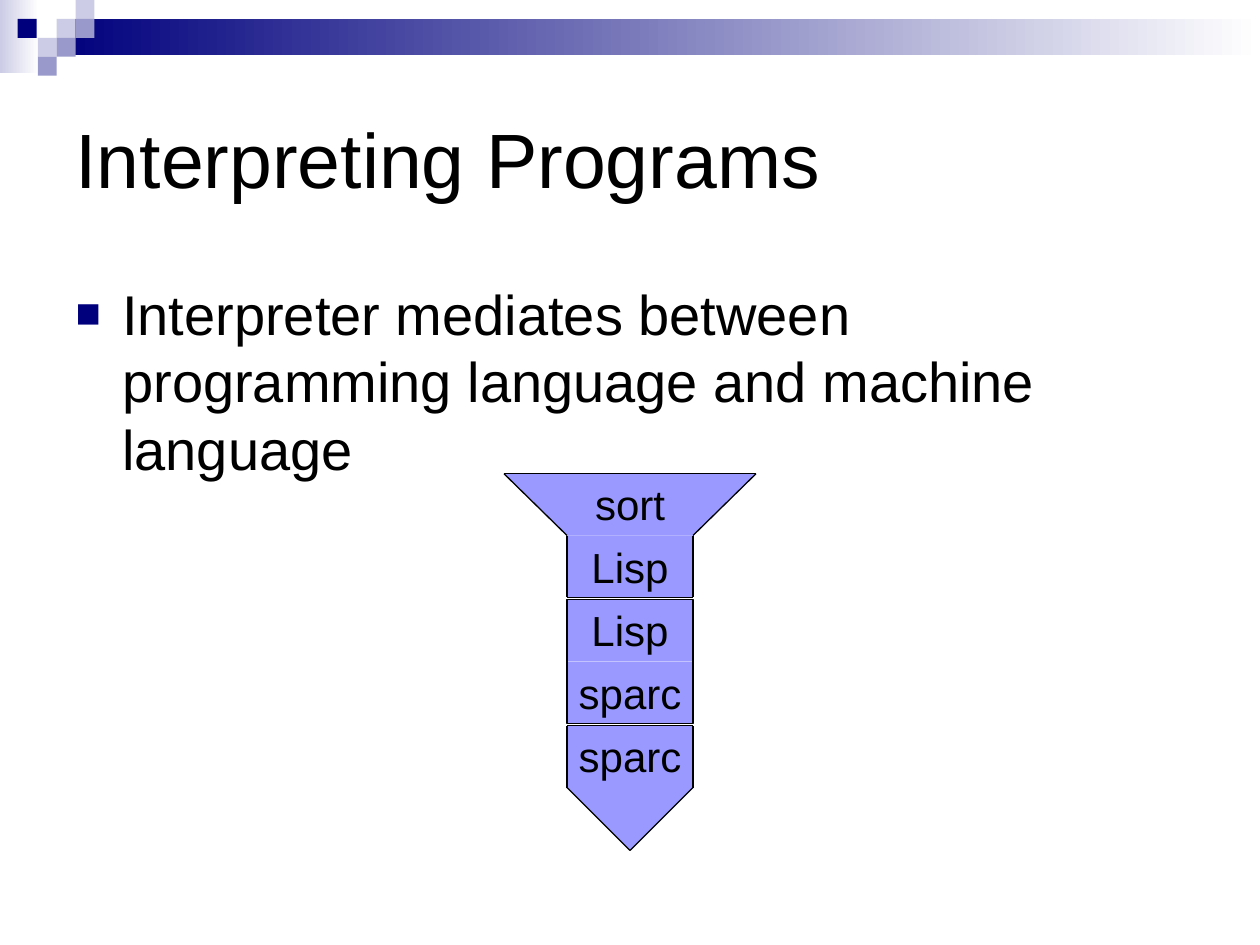
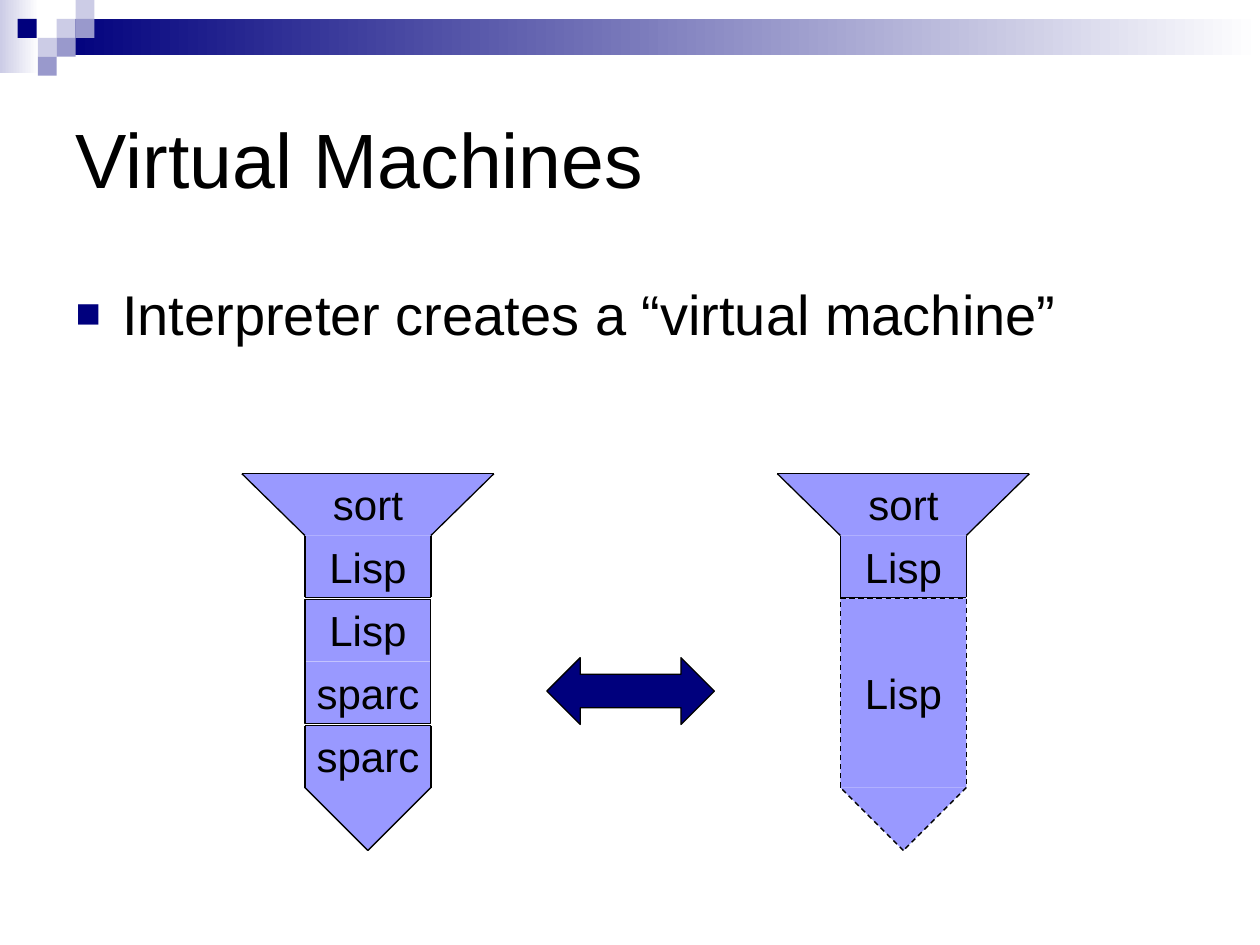
from lxml import etree
from pptx import Presentation
from pptx.dml.color import RGBColor
from pptx.enum.dml import MSO_LINE
from pptx.enum.shapes import MSO_CONNECTOR, MSO_SHAPE
from pptx.enum.text import MSO_ANCHOR, MSO_AUTO_SIZE, PP_ALIGN
from pptx.oxml.ns import qn
from pptx.util import Inches, Pt

RECTANGLE, MERGE, ARROW = MSO_SHAPE.RECTANGLE, MSO_SHAPE.FLOWCHART_MERGE, MSO_SHAPE.LEFT_RIGHT_ARROW
STRAIGHT, DASH = MSO_CONNECTOR.STRAIGHT, MSO_LINE.DASH
TOP, MIDDLE = MSO_ANCHOR.TOP, MSO_ANCHOR.MIDDLE
NO_FIT = MSO_AUTO_SIZE.NONE
LEFT, CENTER = PP_ALIGN.LEFT, PP_ALIGN.CENTER

COLORS = {"white": "FFFFFF", "black": "000000", "navy": "00007D",
          "pale": "CCCCE6", "mid": "9999CC", "block": "9999FF"}
RGB = {name: RGBColor.from_string(value) for name, value in COLORS.items()}
LABEL_WIDTHS = {"sort": 0.79, "Lisp": 0.83, "sparc": 1.05}

TOWERS = {
    "interpreted": {
        "blocks": [(4.25, 0.49), (4.76, 0.49), (5.25, 0.49), (5.76, 0.5)],
        "labels": [("sort", 3.75), ("Lisp", 4.25), ("Lisp", 4.75), ("sparc", 5.25), ("sparc", 5.75)],
        "frames": [(4.76, 0.98)],
        "machine": [(-0.5, 5.76), (0.5, 5.76), (0.5, 6.25), (0, 6.75), (-0.5, 6.25)],
        "dash": None,
    },
    "virtual": {
        "blocks": [(4.25, 0.49), (4.75, 1.5)],
        "labels": [("sort", 3.75), ("Lisp", 4.25), ("Lisp", 5.25)],
        "frames": [],
        "machine": [(-0.5, 4.75), (0.5, 4.75), (0.5, 6.25), (0, 6.75), (-0.5, 6.25)],
        "dash": DASH,
    },
}
FUNNEL = [(-1, 3.76), (1, 3.76), (0.5, 4.25), (-0.5, 4.25)]
PROGRAM = [(-1, 3.76), (1, 3.76), (0.5, 4.25), (0.5, 4.74), (-0.5, 4.74), (-0.5, 4.25)]

PAGES = [
    {"title": "Interpreting Programs",
     "body": "Interpreter mediates between programming language and machine language",
     "towers": [("interpreted", 5)], "arrow": False},
    {"title": "Virtual Machines",
     "body": "Interpreter creates a “virtual machine”",
     "towers": [("interpreted", 2.92), ("virtual", 7.17)], "arrow": True},
]


def paint(shape, fill=None, line=None):
    shape.shadow.inherit = False
    for part, color in ((shape.fill, fill), (shape.line.fill, line)):
        if color:
            part.solid()
            part.fore_color.rgb = RGB[color]
        else:
            part.background()
    if line:
        shape.line.width = Pt(0.75)


def write(holder, text, size, align, frame_format):
    frame = holder.text_frame
    for name, value in frame_format.items():
        setattr(frame, name, value)
    para = frame.paragraphs[0]
    para.alignment = align
    span = para.add_run()
    span.text = text
    for name, value in {"name": "Arial", "size": Pt(size)}.items():
        setattr(span.font, name, value)
    span.font.color.rgb = RGB["black"]
    return para


deck = Presentation()
deck.slide_width, deck.slide_height = Inches(10), Inches(7.5)
layout = deck.slide_layouts[1]

for number, data in enumerate(PAGES):
    page = deck.slides.add_slide(layout)

    if number == 0:
        master_parts = []
        for left, top, width, height, color in [(0, 0, 0.31, 0.58, "pale"), (0.45, 0.15, 9.55, 0.29, "navy")]:
            band = page.shapes.add_shape(RECTANGLE, *map(Inches, (left, top, width, height)))
            paint(band, color)
            band.fill.gradient()
            band.fill.gradient_angle = 180
            for stop, stop_color in zip(band.fill.gradient_stops, ("white", color)):
                stop.color.rgb = RGB[stop_color]
            master_parts.append(band)
        for left, top, color in [(0.45, 0.15, "pale"), (0.6, 0, "pale"), (0.6, 0.15, "mid"),
                                 (0.3, 0.3, "pale"), (0.14, 0.15, "navy"),
                                 (0.45, 0.3, "mid"), (0.3, 0.45, "mid")]:
            square = page.shapes.add_shape(RECTANGLE, *map(Inches, (left, top, 0.15, 0.15)))
            paint(square, color)
            master_parts.append(square)
        for index, part in enumerate(master_parts):
            part.element.find(".//" + qn("p:cNvPr")).set("id", str(100 + index))
            deck.slide_master.shapes.element.insert(2 + index, part.element)

    title, body = page.shapes.title, page.placeholders[1]
    for holder, top, height in [(title, 0.5, 1.5), (body, 2.17, 4.25)]:
        holder.left, holder.top, holder.width, holder.height = map(Inches, (0.5, top, 9, height))
    write(title, data["title"], 44, LEFT,
          {"word_wrap": True, "auto_size": NO_FIT, "vertical_anchor": MIDDLE})
    item = write(body, data["body"], 32, LEFT,
                 {"word_wrap": True, "auto_size": NO_FIT, "vertical_anchor": TOP})
    item.space_before = Pt(7.9)
    properties = item._p.get_or_add_pPr()
    properties.set("marL", str(Inches(0.37)))
    properties.set("indent", str(Inches(-0.37)))
    bullet_color = etree.SubElement(properties, qn("a:buClr"))
    etree.SubElement(bullet_color, qn("a:srgbClr"), val=COLORS["navy"])
    etree.SubElement(properties, qn("a:buSzPct"), val="75000")
    etree.SubElement(properties, qn("a:buFont"), typeface="Arial")
    etree.SubElement(properties, qn("a:buChar"), char="■")

    for kind, center in data["towers"]:
        tower = TOWERS[kind]
        for top, height in tower["blocks"]:
            block = page.shapes.add_shape(RECTANGLE, *map(Inches, (center - 0.5, top, 1, height)))
            paint(block, "block")
        tip = page.shapes.add_shape(MERGE, *map(Inches, (center - 0.5, 6.25, 1, 0.5)))
        paint(tip, "block")
        corners = [(Inches(center + x), Inches(y)) for x, y in FUNNEL]
        builder = page.shapes.build_freeform(*corners[0])
        builder.add_line_segments(corners[1:], close=True)
        paint(builder.convert_to_shape(), "block")

        for text, top in tower["labels"]:
            width = LABEL_WIDTHS[text]
            box = page.shapes.add_textbox(*map(Inches, (center - width / 2, top, width, 0.5)))
            write(box, text, 24, CENTER,
                  {"word_wrap": False, "auto_size": NO_FIT, "vertical_anchor": MIDDLE})

        for points, dash in [(PROGRAM, None), (tower["machine"], tower["dash"])]:
            for (x1, y1), (x2, y2) in zip(points, points[1:] + points[:1]):
                edge = page.shapes.add_connector(
                    STRAIGHT, *map(Inches, (center + x1, y1, center + x2, y2)))
                edge.line.color.rgb = RGB["black"]
                edge.line.width = Pt(0.75)
                if dash:
                    edge.line.dash_style = dash
                etree.SubElement(edge.element.spPr, qn("a:effectLst"))
        for top, height in tower["frames"]:
            frame_box = page.shapes.add_shape(RECTANGLE, *map(Inches, (center - 0.5, top, 1, height)))
            paint(frame_box, line="black")

    if data["arrow"]:
        arrow = page.shapes.add_shape(ARROW, *map(Inches, (4.34, 5.22, 1.33, 0.53)))
        paint(arrow, "navy", "black")

deck.save("out.pptx")
